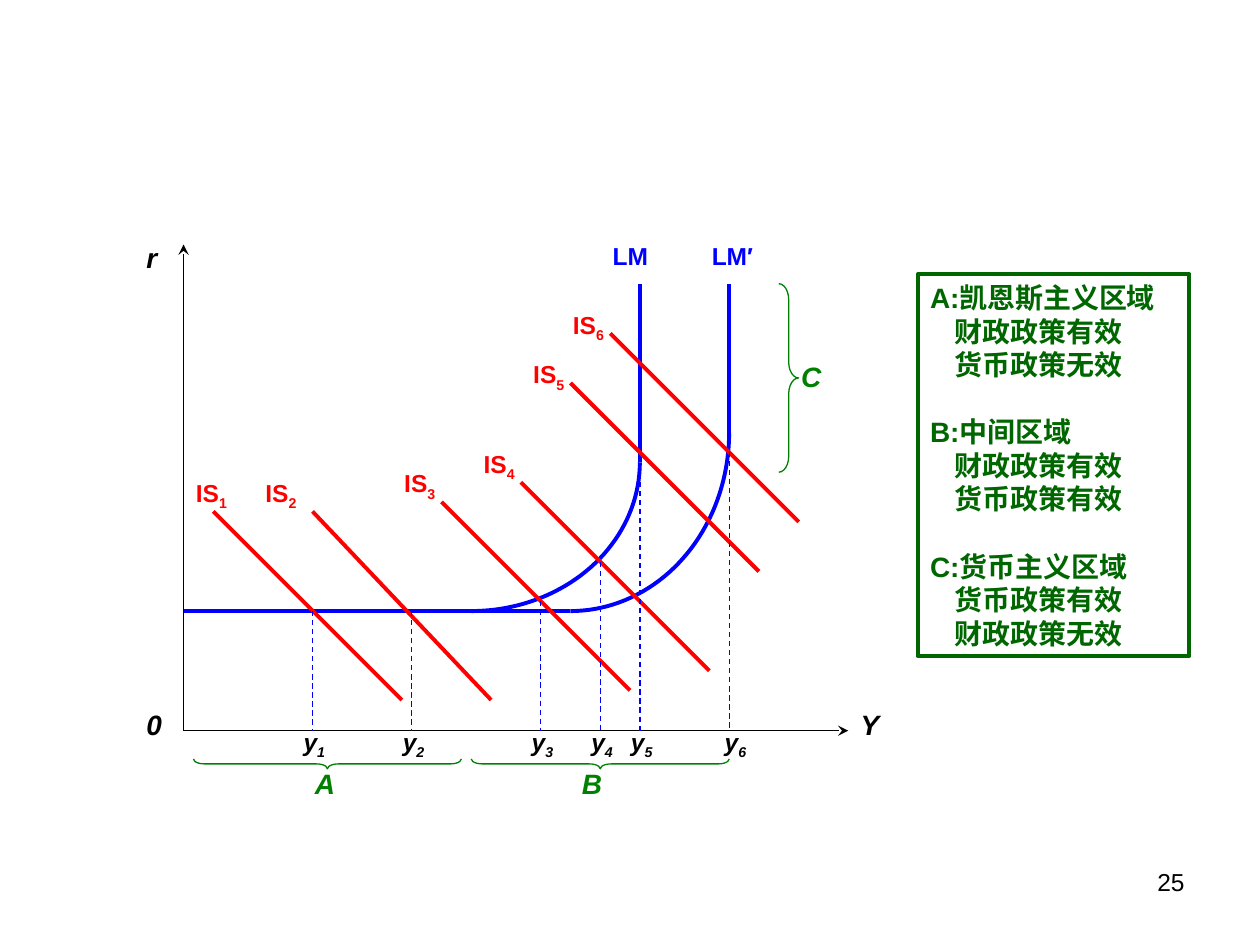
import math
import pptx
import pptx.util
import pptx.dml.color
import pptx.enum.dml
import pptx.enum.shapes
import pptx.enum.text
import pptx.oxml
import pptx.oxml.ns

Cm = pptx.util.Cm
Pt = pptx.util.Pt
Shapes = pptx.enum.shapes.MSO_SHAPE
Align = pptx.enum.text.PP_ALIGN

BLACK, BLUE, RED, GREEN, DARK_GREEN = "000000", "0000FF", "FF0000", "008000", "006600"
THIN, THICK = 0.75, 2.25


def color(value):
    return pptx.dml.color.RGBColor.from_string(value)


class Diagram:
    font = "Arial"

    def __init__(self, page):
        self.page = page

    def stroke(self, item, ink, width):
        item.line.color.rgb = color(ink)
        item.line.width = Pt(width)

    def outline(self, item, ink, width):
        item.shadow.inherit = False
        item.fill.background()
        self.stroke(item, ink, width)

    def line(self, start, end, ink, width, dashed=False, arrow=False):
        item = self.page.shapes.add_connector(
            pptx.enum.shapes.MSO_CONNECTOR.STRAIGHT, *map(Cm, start + end))
        self.stroke(item, ink, width)
        if dashed:
            item.line.dash_style = pptx.enum.dml.MSO_LINE.DASH
        properties = item._element.spPr
        if arrow:
            tail = pptx.oxml.parse_xml(
                '<a:tailEnd %s type="stealth"/>' % pptx.oxml.ns.nsdecls("a"))
            properties.get_or_add_ln().append(tail)
        properties.append(pptx.oxml.parse_xml(
            "<a:effectLst %s/>" % pptx.oxml.ns.nsdecls("a")))

    def quarter_curve(self, center, radii, ink, width, steps=40):
        angles = [math.pi / 2 * (1 - step / steps) for step in range(steps + 1)]
        points = [(Cm(center[0] + radii[0] * math.cos(angle)),
                   Cm(center[1] + radii[1] * math.sin(angle))) for angle in angles]
        builder = self.page.shapes.build_freeform(*points[0])
        builder.add_line_segments(points[1:], close=False)
        self.outline(builder.convert_to_shape(), ink, width)

    def brace(self, left, top, width, height, bend, turn=0):
        item = self.page.shapes.add_shape(
            Shapes.RIGHT_BRACE, Cm(left), Cm(top), Cm(width), Cm(height))
        item.adjustments[0] = bend
        item.rotation = turn
        self.outline(item, GREEN, THIN)

    def add_span(self, para, text, size, ink, bold=True, italic=False, lowered=False):
        span = para.add_run()
        span.text = text
        span.font.name = self.font
        span.font.size = Pt(size)
        span.font.bold = bold
        span.font.italic = italic
        span.font.color.rgb = color(ink)
        if lowered:
            span._r.get_or_add_rPr().set("baseline", "-25000")

    def label(self, left, top, text, size, ink, index="", italic=False, bold=True,
              width=1.6, height=0.94, align=Align.LEFT):
        box = self.page.shapes.add_textbox(Cm(left), Cm(top), Cm(width), Cm(height))
        box.text_frame.word_wrap = True
        para = box.text_frame.paragraphs[0]
        para.alignment = align
        self.add_span(para, text, size, ink, bold, italic)
        if index:
            self.add_span(para, index, size, ink, bold, italic, lowered=True)

    def legend(self, left, top, width, height, groups):
        box = self.page.shapes.add_shape(
            Shapes.RECTANGLE, Cm(left), Cm(top), Cm(width), Cm(height))
        self.outline(box, DARK_GREEN, THICK)
        frame = box.text_frame
        frame.word_wrap = True
        frame.vertical_anchor = pptx.enum.text.MSO_ANCHOR.TOP
        para = frame.paragraphs[0]
        for number, group in enumerate(groups):
            for position, text in enumerate(group):
                if number or position:
                    para = frame.add_paragraph()
                para.alignment = Align.LEFT
                if position:
                    para._p.get_or_add_pPr().set("marL", str(Cm(0.5)))
                elif number:
                    para.space_before = Pt(19.2)
                self.add_span(para, text, 16, DARK_GREEN)


deck = pptx.Presentation()
deck.slide_width, deck.slide_height = Cm(25.4), Cm(19.05)
page = deck.slides.add_slide(deck.slide_layouts[6])
diagram = Diagram(page)

origin = (3.7, 14.73)
floor, ceiling = 12.32, 5.72
for tip in ((3.7, 4.93), (17.1, 14.73)):
    diagram.line(origin, tip, BLACK, THIN, arrow=True)
for left, top, text in ((2.7, 4.73, "r"), (2.7, 14.13, "0"), (17.1, 14.13, "Y")):
    diagram.label(left, top, text, 16, BLACK, italic=True)

money_curves = (("LM", 3.7, 9.5, 3.4, 3, 0.8), ("LM′", 9.7, 11.5, 3.2, 3.6, 0.6))
for name, start, bend, across, rise, back in money_curves:
    right, shoulder = bend + across, floor - rise
    diagram.line((start, floor), (bend, floor), BLUE, THICK)
    diagram.quarter_curve((bend, shoulder), (across, rise), BLUE, THICK)
    diagram.line((right, shoulder), (right, ceiling), BLUE, THICK)
    diagram.label(right - back, 4.73, name, 14, BLUE, width=2)

goods_curves = ((4.3, 10.31, 3.8, 0.6, 0.8), (6.3, 10.31, 3.6, 1.2, 0.8),
                (8.9, 10.12, 3.8, 1, 0.8), (10.5, 9.72, 3.8, 1, 0.8),
                (11.5, 7.72, 3.8, 1, 0.6), (12.3, 6.72, 3.8, 1, 0.6))
for index, (left, top, run, back, up) in enumerate(goods_curves, 1):
    diagram.line((left, top), (left + run, top + 3.8), RED, THICK)
    diagram.label(left - back, top - up, "IS", 14, RED, str(index))

incomes = ((6.3, floor, 0.43), (8.3, floor, 0.43), (10.9, 12.12, 0.43),
           (12.1, 11.33, 0.43), (12.9, 9.53, 0.43), (14.7, 8.74, 0.34))
for index, (across, top, back) in enumerate(incomes, 1):
    diagram.line((across, top), (across, origin[1]), BLUE, THIN, dashed=True)
    diagram.label(across - back, 14.53, "y", 14, BLACK, str(index), italic=True)

depth = 0.2
for start, end in ((3.9, 9.3), (9.5, 14.7)):
    length, middle = end - start, (start + end) / 2
    diagram.brace(middle - depth / 2, 15.4 - length / 2, depth, length, 1.1, turn=90)
diagram.brace(15.7, ceiling, 0.4, 3.8, 0.8)
for left, top, text in ((6.1, 15.32, "A"), (11.48, 15.32, "B"), (15.9, 7.13, "C")):
    diagram.label(left, top, text, 16, GREEN, italic=True, width=0.95)

diagram.legend(18.5, 5.53, 5.48, 7.7, (
    ("A:凯恩斯主义区域", "财政政策有效", "货币政策无效"),
    ("B:中间区域", "财政政策有效", "货币政策有效"),
    ("C:货币主义区域", "货币政策有效", "财政政策无效")))

diagram.label(18.21, 17.35, "25", 14, BLACK, bold=False,
              width=5.92, height=1.32, align=Align.RIGHT)

deck.save("out.pptx")
